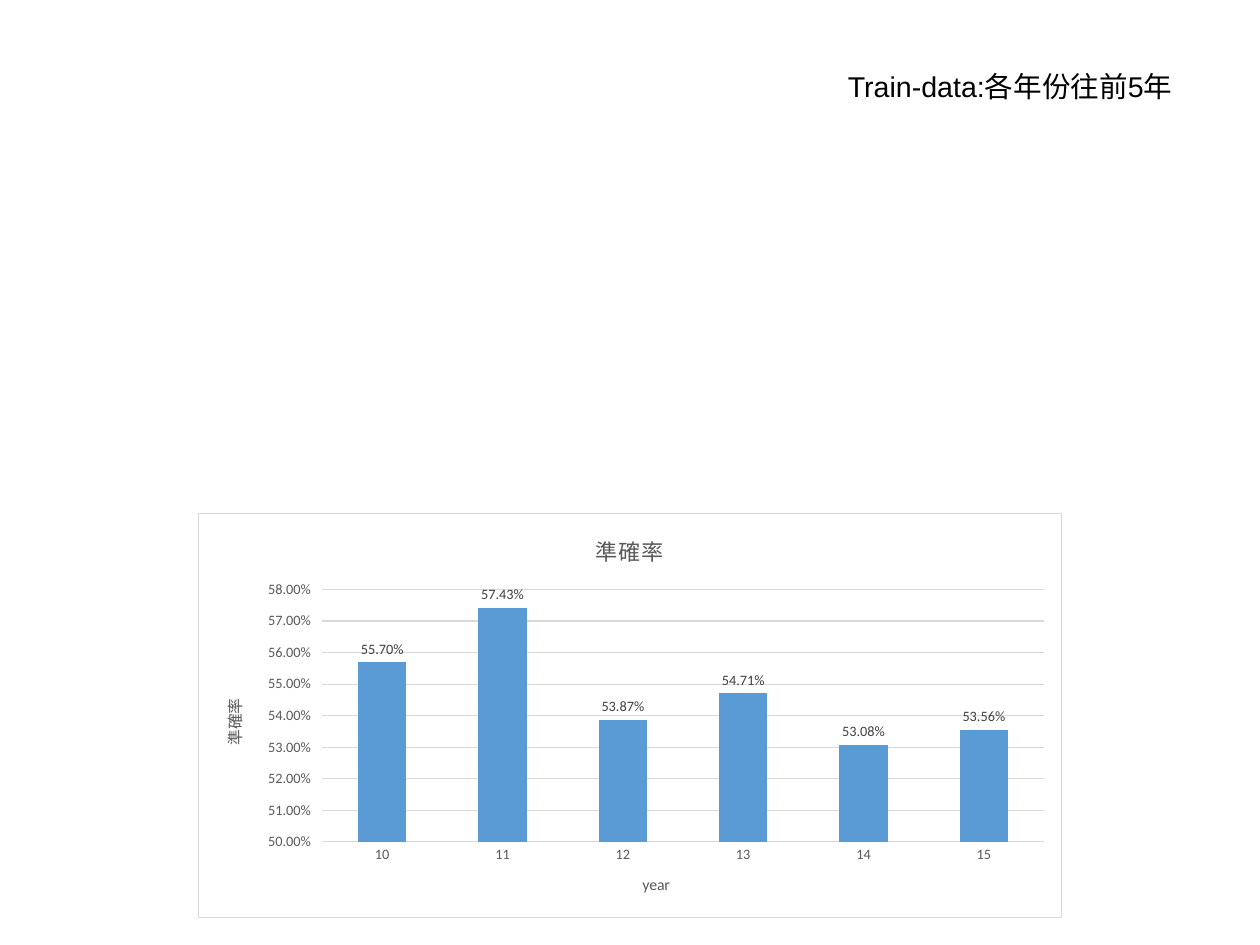
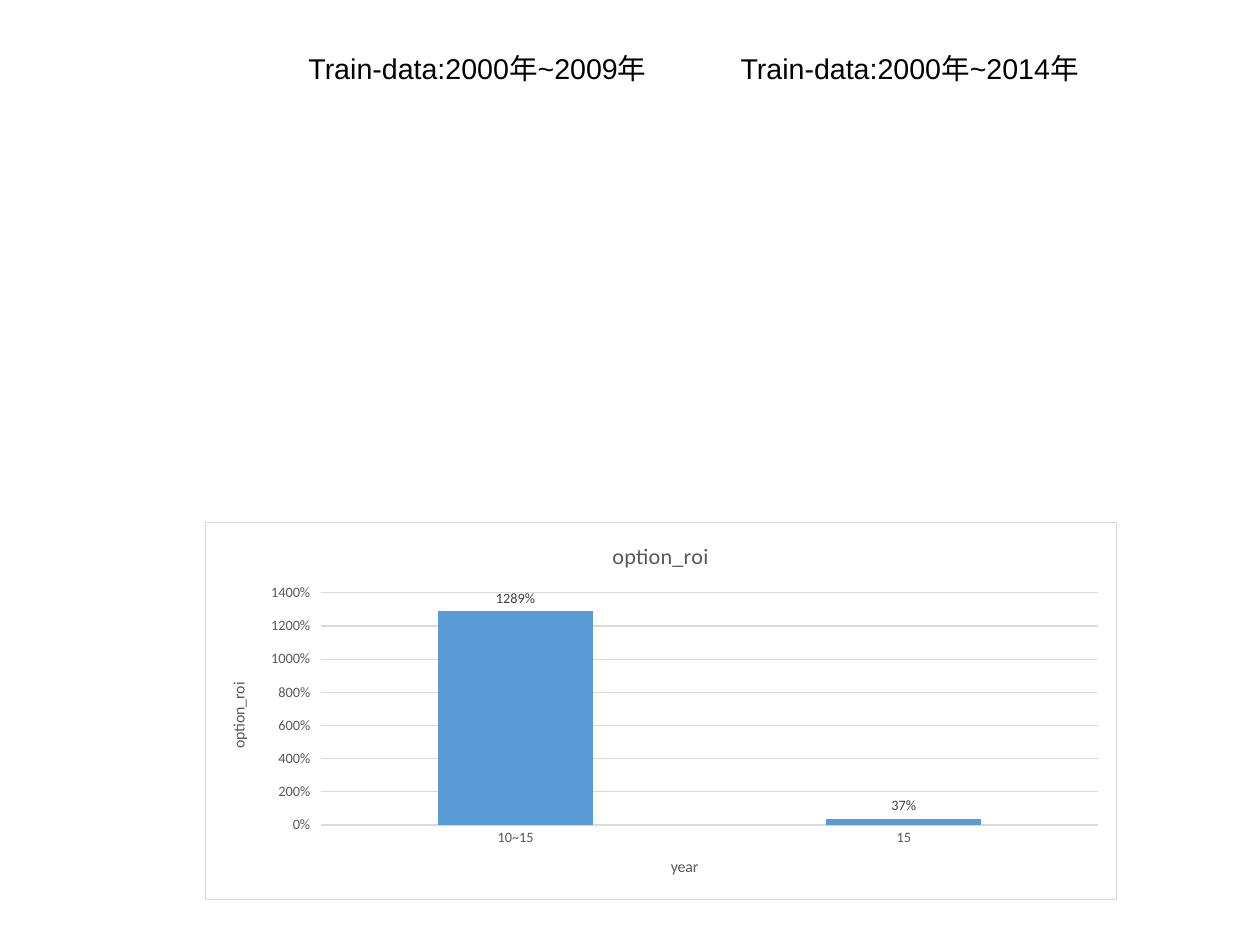
from dataclasses import dataclass

from lxml.etree import SubElement as Sub
from pptx import Presentation
from pptx.chart.chart import Chart
from pptx.chart.data import CategoryChartData as ChartData
from pptx.dml.color import RGBColor
from pptx.enum.chart import XL_CHART_TYPE as ChartType
from pptx.enum.chart import XL_LABEL_POSITION as LabelPosition
from pptx.enum.chart import XL_TICK_MARK as TickMark
from pptx.enum.text import MSO_AUTO_SIZE as AutoSize
from pptx.oxml import parse_xml
from pptx.oxml.ns import nsdecls, qn
from pptx.slide import Slide
from pptx.text.text import Font
from pptx.util import Pt

# Shared colours and formats
BLACK = RGBColor(0x00, 0x00, 0x00)
WHITE = RGBColor(0xFF, 0xFF, 0xFF)
GRAY = RGBColor(0x59, 0x59, 0x59)
DARK_GRAY = RGBColor(0x40, 0x40, 0x40)
LIGHT_GRAY = RGBColor(0xD9, 0xD9, 0xD9)
BLUE = RGBColor(0x5B, 0x9B, 0xD5)

PAGE_SIZE = (793.7, 595.3)
BLANK_LAYOUT = 6
LINE_WIDTH = 0.75
CAPTION_HEIGHT = 33
CAPTION_INSETS = {"margin_left": 7.2, "margin_right": 7.2,
                  "margin_top": 3.6, "margin_bottom": 3.6}

CAPTION_FONT = {"name": "Arial", "size": Pt(18), "color": BLACK}
CHART_FONT = {"name": "Arial", "size": Pt(10), "color": BLACK}
TITLE_FONT = {"name": "Calibri", "size": Pt(14), "bold": False, "color": GRAY}
AXIS_TITLE_FONT = {**TITLE_FONT, "size": Pt(10)}
TICK_FONT = {"name": "Calibri", "size": Pt(9), "color": GRAY}
LABEL_FONT = {**TICK_FONT, "color": DARK_GRAY}


@dataclass(frozen=True)
class Caption:
    text: str
    left: float
    top: float
    width: float


@dataclass(frozen=True)
class ColumnChart:
    name: str
    values: dict[str, float]
    number_format: str
    scale: tuple[float, float, float]  # minimum, maximum, step
    frame: tuple[float, float, float, float]  # left, top, width, height


@dataclass(frozen=True)
class Page:
    captions: tuple[Caption, ...]
    chart: ColumnChart


PAGES = (
    Page(
        (Caption("Train-data:各年份往前5年", 527, 39.6, 232.6),),
        ColumnChart(
            "準確率",
            {"10": 0.557, "11": 0.5743, "12": 0.5387,
             "13": 0.5471, "14": 0.5308, "15": 0.5356},
            "0.00%", (0.5, 0.58, 0.01), (124.6, 323.3, 544.3, 254.9),
        ),
    ),
    Page(
        (Caption("Train-data:2000年~2009年", 187.2, 28.5, 244),
         Caption("Train-data:2000年~2014年", 459.4, 28.5, 244)),
        ColumnChart(
            "option_roi", {"10~15": 12.89, "15": 0.37},
            "0%", (0, 14, 2), (128.9, 329, 574.6, 238.3),
        ),
    ),
)


def set_font(font: Font, style: dict) -> None:
    for key, value in style.items():
        if key == "color":
            font.color.rgb = value
        else:
            setattr(font, key, value)


def add_caption(slide: Slide, caption: Caption) -> None:
    box = slide.shapes.add_textbox(
        Pt(caption.left), Pt(caption.top), Pt(caption.width), Pt(CAPTION_HEIGHT))
    frame = box.text_frame
    frame.word_wrap = True
    frame.auto_size = AutoSize.SHAPE_TO_FIT_TEXT
    for side, inset in CAPTION_INSETS.items():
        setattr(frame, side, Pt(inset))
    span = frame.paragraphs[0].add_run()
    span.text = caption.text
    set_font(span.font, CAPTION_FONT)


def set_title(owner, text: str, style: dict) -> None:
    """Title a chart or an axis."""
    owner.has_title = True
    title = owner.chart_title if isinstance(owner, Chart) else owner.axis_title
    span = title.text_frame.paragraphs[0].add_run()
    span.text = text
    set_font(span.font, style)


def set_line(line) -> None:
    line.color.rgb = LIGHT_GRAY
    line.width = Pt(LINE_WIDTH)


def add_chart_border(chart: Chart) -> None:
    """Fill and outline the whole chart area."""
    area = parse_xml(f"<c:spPr {nsdecls('c', 'a')}/>")
    fill = Sub(area, qn("a:solidFill"))
    Sub(fill, qn("a:srgbClr"), val=str(WHITE))
    border = Sub(area, qn("a:ln"), w=str(Pt(LINE_WIDTH)))
    border_fill = Sub(border, qn("a:solidFill"))
    Sub(border_fill, qn("a:srgbClr"), val=str(LIGHT_GRAY))
    chart._chartSpace.find(qn("c:chart")).addnext(area)


def add_column_chart(slide: Slide, column_chart: ColumnChart) -> None:
    data = ChartData(number_format=column_chart.number_format)
    data.categories = list(column_chart.values)
    data.add_series(column_chart.name, list(column_chart.values.values()))
    chart = slide.shapes.add_chart(
        ChartType.COLUMN_CLUSTERED, *map(Pt, column_chart.frame), data).chart
    set_font(chart.font, CHART_FONT)
    chart.has_legend = False
    set_title(chart, column_chart.name, TITLE_FONT)
    add_chart_border(chart)

    # Axes
    years, rates = chart.category_axis, chart.value_axis
    for axis, title in ((years, "year"), (rates, column_chart.name)):
        set_title(axis, title, AXIS_TITLE_FONT)
        set_font(axis.tick_labels.font, TICK_FONT)
    years.major_tick_mark = TickMark.NONE
    set_line(years.format.line)
    rates.minimum_scale, rates.maximum_scale, rates.major_unit = column_chart.scale
    rates.tick_labels.number_format = column_chart.number_format
    rates.tick_labels.number_format_is_linked = False
    rates.format.line.fill.background()
    set_line(rates.major_gridlines.format.line)

    # Columns and their labels
    plot = chart.plots[0]
    plot.gap_width = 150
    plot.vary_by_categories = False
    fill = plot.series[0].format.fill
    fill.solid()
    fill.fore_color.rgb = BLUE
    labels = plot.series[0].data_labels
    labels.show_value = True
    labels.position = LabelPosition.OUTSIDE_END
    labels.number_format = column_chart.number_format
    labels.number_format_is_linked = False
    set_font(labels.font, LABEL_FONT)


def main() -> None:
    deck = Presentation()
    deck.slide_width, deck.slide_height = map(Pt, PAGE_SIZE)
    for page in PAGES:
        slide = deck.slides.add_slide(deck.slide_layouts[BLANK_LAYOUT])
        add_column_chart(slide, page.chart)
        for caption in page.captions:
            add_caption(slide, caption)
    deck.save("out.pptx")


if __name__ == "__main__":
    main()
